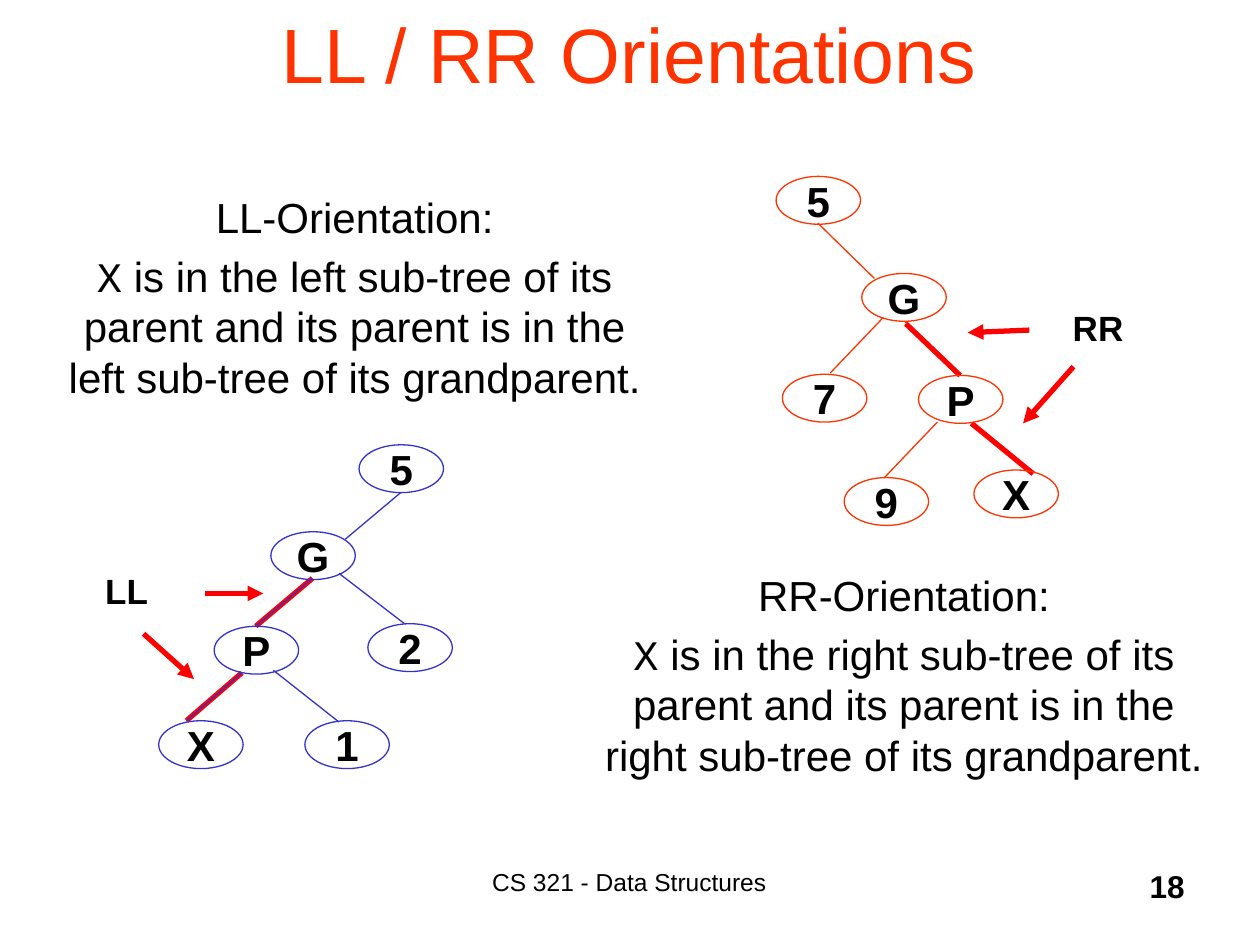
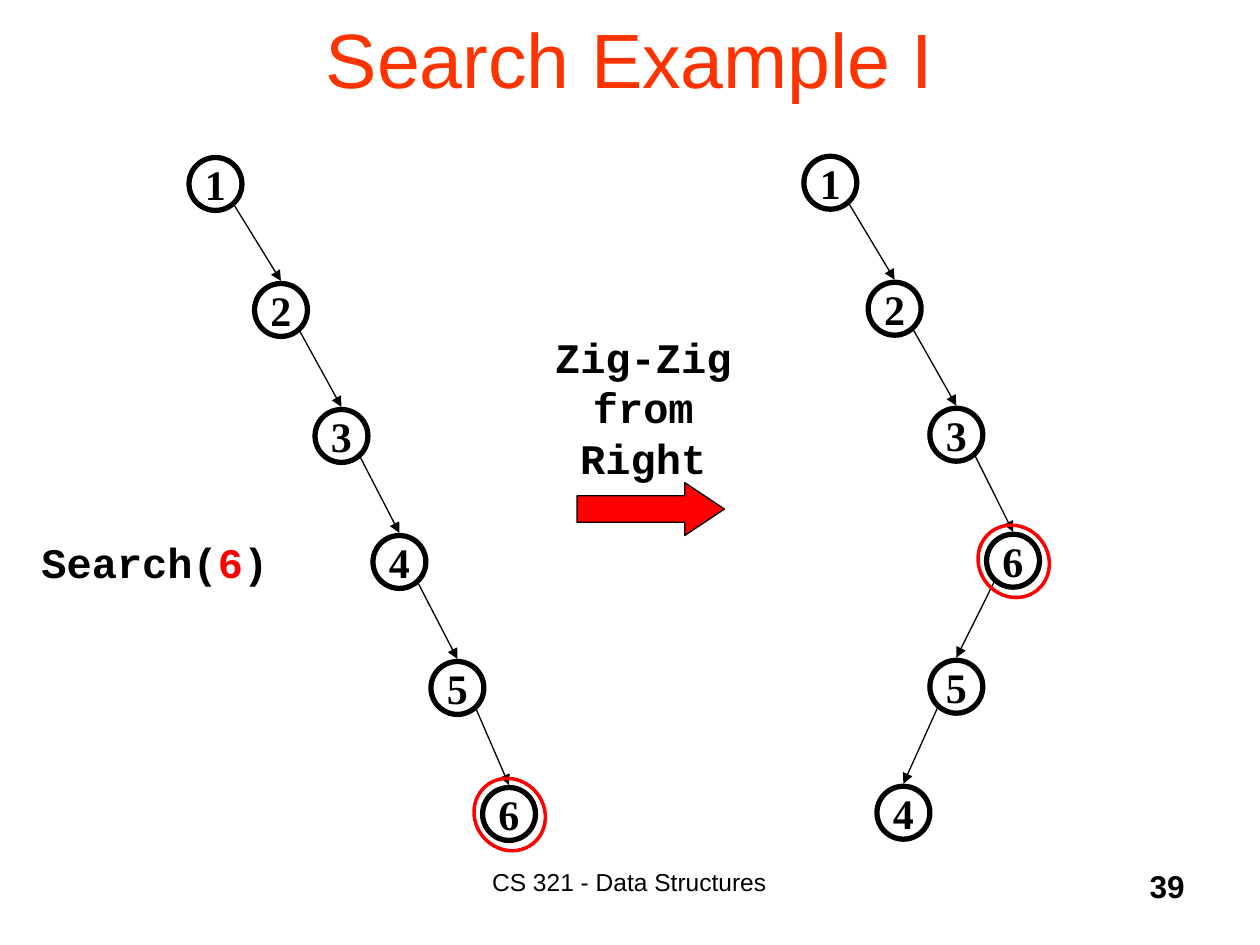
from itertools import pairwise

from lxml import etree
from pptx import Presentation
from pptx.dml.color import RGBColor
from pptx.enum import shapes, text
from pptx.oxml import ns
from pptx.util import Inches, Pt

COLORS = {"title": "FF3300", "ink": "000000", "left": "3333CC",
          "right": "FF3300", "accent": "FF0000", "paper": "FFFFFF"}
SANS, MONO, SERIF = "Arial", "Courier New", "Times New Roman"
ALIGN = text.PP_ALIGN
ANCHOR = text.MSO_ANCHOR
SHAPE = shapes.MSO_SHAPE
NODE_W, NODE_H = 0.67, 0.38
RING_D = 0.42


def rgb(name):
    return RGBColor.from_string(COLORS[name])


def write(sp, paragraphs, size=24, font=SANS, bold=False, align=ALIGN.CENTER,
          anchor=ANCHOR.TOP, wrap=True, gap=5):
    tf = sp.text_frame
    tf.auto_size = text.MSO_AUTO_SIZE.NONE
    tf.word_wrap = wrap
    tf.vertical_anchor = anchor
    for i, runs in enumerate(paragraphs):
        p = tf.add_paragraph() if i else tf.paragraphs[0]
        p.alignment = align
        p.space_before = Pt(gap if i else 0)
        for content, fmt in runs:
            r = p.add_run()
            r.text = content
            r.font.name = fmt.get("font", font)
            r.font.size = Pt(size)
            r.font.bold = bold
            r.font.color.rgb = rgb(fmt.get("color", "ink"))


def add_text(s, box, paragraphs, **fmt):
    sp = s.shapes.add_textbox(*map(Inches, box))
    write(sp, paragraphs, **fmt)


def add_figure(s, kind, box, color, width, fill=None):
    sp = s.shapes.add_shape(kind, *map(Inches, box))
    sp.shadow.inherit = False
    if fill:
        sp.fill.solid()
        sp.fill.fore_color.rgb = rgb(fill)
    else:
        sp.fill.background()
    sp.line.color.rgb = rgb(color)
    sp.line.width = Pt(width)
    return sp


def add_line(s, start, end, color, width=0.75, arrow=False):
    cx = s.shapes.add_connector(shapes.MSO_CONNECTOR.STRAIGHT,
                                *map(Inches, (*start, *end)))
    cx.line.color.rgb = rgb(color)
    cx.line.width = Pt(width)
    if arrow:
        tail = etree.SubElement(cx.line._get_or_add_ln(), ns.qn("a:tailEnd"))
        tail.set("type", "triangle")
    etree.SubElement(cx._element.spPr, ns.qn("a:effectLst"))


def add_slide(prs, title, title_box, number):
    s = prs.slides.add_slide(prs.slide_layouts[5])
    s.background.fill.solid()
    s.background.fill.fore_color.rgb = rgb("paper")
    sp = s.shapes.title
    sp.left, sp.top, sp.width, sp.height = map(Inches, title_box)
    write(sp, [[(title, {"color": "title"})]], size=44, anchor=ANCHOR.MIDDLE)
    add_text(s, (3.08, 6.83, 3.83, 0.5), [[("CS 321 - Data Structures", {})]], size=14)
    add_text(s, (7.42, 6.83, 2.08, 0.5), [[(number, {})]], size=18, bold=True,
             align=ALIGN.RIGHT)
    return s


def add_definition(s, box, name, side):
    body = (f" is in the {side} sub-tree of its parent and its parent is in the "
            f"{side} sub-tree of its grandparent.")
    add_text(s, box, [[(f"{name}-Orientation:", {})], [("X", {"font": MONO}), (body, {})]])


def add_tree(s, origin, color, nodes, edges, label, label_box, pointers):
    def place(x, y):
        return origin[0] + x, origin[1] + y

    for start, end, heavy in edges:
        add_line(s, place(*start), place(*end), "accent" if heavy else color,
                 3 if heavy else 0.75)
    for key, spot in nodes.items():
        sp = add_figure(s, SHAPE.OVAL, (*place(*spot), NODE_W, NODE_H), color, 0.75)
        write(sp, [[(key, {})]], bold=True, anchor=ANCHOR.MIDDLE, wrap=False)
    add_text(s, (*place(*label_box[:2]), *label_box[2:]), [[(label, {})]], size=20,
             bold=True, anchor=ANCHOR.MIDDLE, wrap=False)
    for start, end in pointers:
        add_line(s, place(*start), place(*end), "accent", 3, arrow=True)


def add_chain(s, origin, keys, offsets, target):
    spots = [(origin[0] + dx, origin[1] + row) for row, dx in enumerate(offsets)]
    for (x1, y1), (x2, y2) in pairwise(spots):
        exit_x = x1 + (0.36 if x2 > x1 else 0.06)
        add_line(s, (exit_x, y1 + 0.38), (x2 + RING_D / 2, y2 - 0.02), "ink", arrow=True)
    for key, (x, y) in zip(keys, spots):
        sp = add_figure(s, SHAPE.OVAL, (x, y, RING_D, RING_D), "ink", 3)
        write(sp, [[(key, {})]], font=SERIF, bold=True, anchor=ANCHOR.MIDDLE, wrap=False)
        if key == target:
            halo = add_figure(s, SHAPE.OVAL, (x - 0.06, y - 0.08, 0.55, 0.59), "accent", 2)
            halo.rotation = 320.5


def orientations_slide(prs):
    s = add_slide(prs, "LL / RR Orientations", (0.58, -0.21, 8.83, 1.25), "18")
    add_definition(s, (0.31, 1.47, 5.01, 1.8), "LL", "left")
    add_definition(s, (4.66, 4.47, 5.03, 1.8), "RR", "right")
    add_tree(
        s, (1.26, 3.53), "left",
        {"5": (1.59, 0), "G": (0.89, 0.69), "P": (0.44, 1.44),
         "X": (0, 2.19), "2": (1.66, 1.42), "1": (1.16, 2.19)},
        [((1.22, 1.06), (0.77, 1.44), True),
         ((0.66, 1.81), (0.22, 2.19), True),
         ((1.22, 1.06), (0.77, 1.44), False),
         ((0.66, 1.81), (0.22, 2.19), False),
         ((1.92, 0.38), (1.48, 0.75), False),
         ((1.43, 1.02), (1.95, 1.42), False),
         ((0.91, 1.79), (1.43, 2.2), False)],
        "LL", (-0.53, 0.94, 0.55, 0.44),
        [((0.37, 1.18), (0.83, 1.18)), ((-0.12, 1.5), (0.28, 1.86))])
    add_tree(
        s, (6.16, 1.4), "right",
        {"5": (0, 0), "G": (0.68, 0.77), "P": (1.13, 1.58),
         "X": (1.57, 2.33), "7": (0.05, 1.57), "9": (0.54, 2.39)},
        [((0.33, 0.37), (0.78, 0.81), False),
         ((0.85, 1.12), (0.43, 1.56), False),
         ((1.28, 1.95), (0.86, 2.39), False),
         ((1.02, 1.15), (1.46, 1.58), False),
         ((1.57, 1.96), (2.02, 2.33), False),
         ((1.03, 1.17), (1.46, 1.58), True),
         ((1.55, 1.96), (2.04, 2.36), True)],
        "RR", (2.25, 0.98, 0.61, 0.44),
        [((2.01, 1.22), (1.52, 1.24)), ((2.36, 1.51), (1.96, 1.96))])


def search_slide(prs):
    s = add_slide(prs, "Search Example I", (0.75, -0.17, 8.5, 1.25), "39")
    add_chain(s, (1.5, 1.25), "123456", (0, 0.52, 1, 1.46, 1.92, 2.33), "6")
    add_chain(s, (6.38, 1.24), "123654", (0, 0.51, 1, 1.45, 1, 0.58), "6")
    add_text(s, (0.23, 4.21, 2.02, 0.5),
             [[("Search(", {}), ("6", {"color": "accent"}), (")", {})]],
             font=MONO, bold=True, align=ALIGN.LEFT, wrap=False)
    add_text(s, (4.25, 2.58, 1.71, 1.31), [[("Zig-Zig from Right", {})]],
             font=MONO, bold=True)
    arrow = add_figure(s, SHAPE.RIGHT_ARROW, (4.58, 3.83, 1.17, 0.42), "ink", 0.75,
                       fill="accent")
    arrow.adjustments[0] = 0.5
    arrow.adjustments[1] = 0.75


def main():
    prs = Presentation()
    prs.slide_width, prs.slide_height = Inches(10), Inches(7.5)
    orientations_slide(prs)
    search_slide(prs)
    prs.save("out.pptx")


if __name__ == "__main__":
    main()
